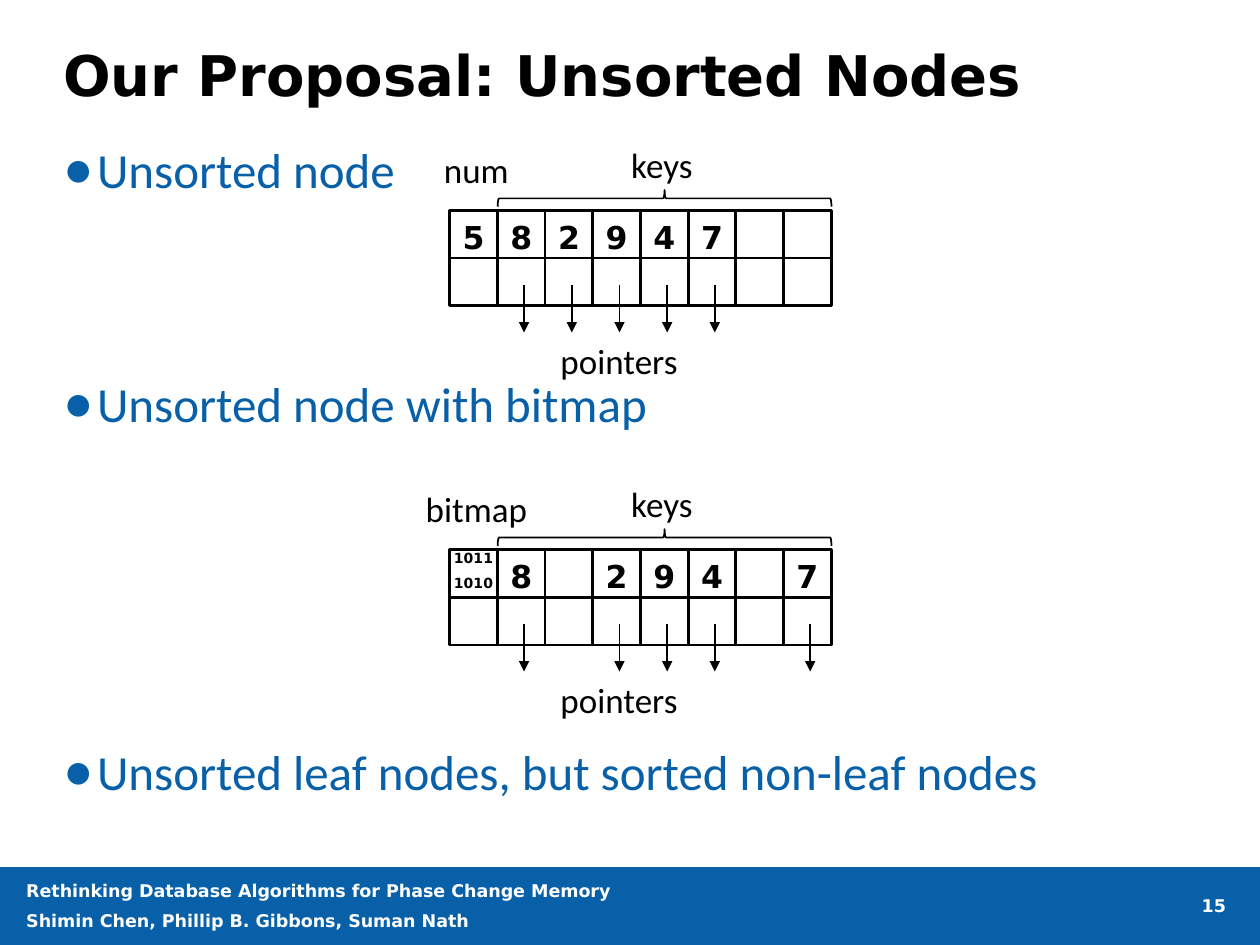
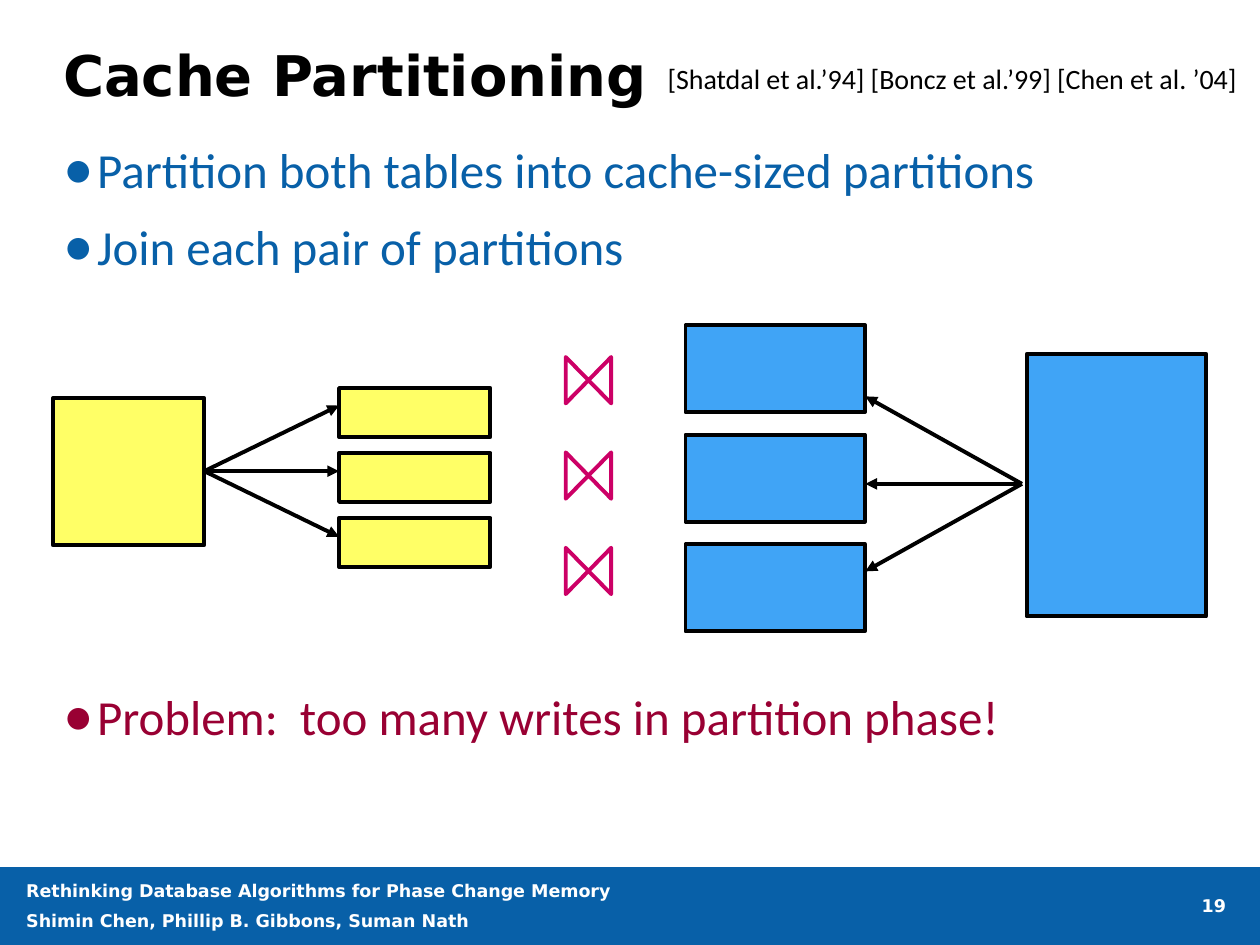
"""Build two slides on unsorted tree nodes and cache partitioning."""
import pptx
import pptx.dml.color
import pptx.enum.shapes
import pptx.enum.text
import pptx.oxml.ns
import pptx.util
from lxml import etree

Pt = pptx.util.Pt
RGBColor = pptx.dml.color.RGBColor
SHAPE = pptx.enum.shapes.MSO_SHAPE
ALIGN = pptx.enum.text.PP_ALIGN
ANCHOR = pptx.enum.text.MSO_ANCHOR

BLUE = RGBColor(0x08, 0x60, 0xA8)
SKY = RGBColor(0x40, 0xA4, 0xF6)
YELLOW = RGBColor(0xFF, 0xFF, 0x66)
PINK = RGBColor(0xCC, 0x00, 0x66)
RED = RGBColor(0x99, 0x00, 0x33)
BLACK = RGBColor(0, 0, 0)
WHITE = RGBColor(0xFF, 0xFF, 0xFF)

HEAD = "DejaVu Sans"
BODY = "Calibri"
CELL = 27.25
NODE_X = 257
THICK = 2.25


def add_xml(parent, tag, **attrs):
    """Append a DrawingML child element."""
    return etree.SubElement(parent, pptx.oxml.ns.qn(tag), attrs)


def add_run(para, text, size, color=BLACK, font=BODY, bold=False):
    """Add one styled run to a paragraph."""
    run = para.add_run()
    run.text = text
    run.font.size = Pt(size)
    run.font.name = font
    run.font.bold = bold
    run.font.color.rgb = color


def add_lines(frame, lines, gap=0, align=ALIGN.LEFT, **style):
    """Write each line as a paragraph, with a gap between them."""
    for i, text in enumerate(lines):
        para = frame.add_paragraph() if i else frame.paragraphs[0]
        para.alignment = align
        para.space_before = Pt(gap if i else 0)
        add_run(para, text, **style)


def set_pad(frame, top=0, bottom=0):
    """Set the insets of a frame, with none at the sides."""
    frame.margin_left = frame.margin_right = 0
    frame.margin_top, frame.margin_bottom = Pt(top), Pt(bottom)


def set_box(shape, *box):
    """Move and size a shape in points."""
    shape.left, shape.top, shape.width, shape.height = map(Pt, box)


def add_text(shapes, box, lines, plain=False, **style):
    """Add a wrapped text box."""
    frame = shapes.add_textbox(*map(Pt, box)).text_frame
    frame.word_wrap = True
    if plain:
        set_pad(frame)
    add_lines(frame, lines, **style)


def style_shape(shape, fill, color, width):
    """Give a shape its fill and line and no shadow."""
    shape.shadow.inherit = False
    if fill is None:
        shape.fill.background()
    else:
        shape.fill.solid()
        shape.fill.fore_color.rgb = fill
    if color is None:
        shape.line.fill.background()
    else:
        shape.line.color.rgb = color
        shape.line.width = Pt(width)


def add_shape(shapes, box, fill=None, color=BLACK, width=1.5,
              kind=SHAPE.RECTANGLE):
    """Add a preset shape."""
    shape = shapes.add_shape(kind, *map(Pt, box))
    style_shape(shape, fill, color, width)
    return shape


def add_arrow(shapes, start, end, width):
    """Add a black line with a triangle at its end."""
    line = shapes.add_connector(pptx.enum.shapes.MSO_CONNECTOR.STRAIGHT,
                                *map(Pt, (*start, *end)))
    line.line.color.rgb = BLACK
    line.line.width = Pt(width)
    add_xml(line.line._get_or_add_ln(), "a:tailEnd", type="triangle")
    add_xml(line.element.spPr, "a:effectLst")


def add_band(deck, slide):
    """Draw the footer band and move it to the slide master."""
    band = add_shape(slide.shapes, (0, 495.5, 720, 44.5), BLUE, None)
    band.element.nvSpPr.cNvPr.id = 99
    deck.slide_master.shapes.element.insert(2, band.element)


def add_list(body, items):
    """Fill the body with bullets, each given as gap, text and colour."""
    set_box(body, 36, 79.5, 648.5, 405)
    frame = body.text_frame
    frame.auto_size = pptx.enum.text.MSO_AUTO_SIZE.NONE
    frame.vertical_anchor = ANCHOR.TOP
    set_pad(frame)
    for i, (gap, text, color) in enumerate(items):
        para = frame.add_paragraph() if i else frame.paragraphs[0]
        para.space_before = Pt(gap)
        add_run(para, text, 28, color)
        props = para._p.get_or_add_pPr()
        props.set("marL", str(Pt(19.5)))
        props.set("indent", str(Pt(-19.5)))
        add_xml(props, "a:buSzPct", val="125000")
        add_xml(props, "a:buFont", typeface=BODY)
        add_xml(props, "a:buChar", char="•")


def add_slide(deck, title, number, items):
    """Add a slide with its title, bullets and footer."""
    slide = deck.slides.add_slide(deck.slide_layouts[1])
    head = slide.shapes.title
    set_box(head, 36, 21.6, 648.5, 46.8)
    frame = head.text_frame
    frame.auto_size = pptx.enum.text.MSO_AUTO_SIZE.NONE
    frame.vertical_anchor = ANCHOR.MIDDLE
    set_pad(frame)
    add_lines(frame, [title], size=32, font=HEAD, bold=True)
    frame.paragraphs[0].line_spacing = 0.9
    add_list(slide.placeholders[1], items)
    style = dict(plain=True, size=10, color=WHITE, font=HEAD, bold=True)
    add_text(slide.shapes, (15, 502.75, 469.5, 30),
             ["Rethinking Database Algorithms for Phase Change Memory",
              "Shimin Chen, Phillip B. Gibbons, Suman Nath"],
             gap=5.5, **style)
    add_text(slide.shapes, (668, 511.5, 32.5, 17), [number],
             align=ALIGN.RIGHT, **style)
    return slide


def add_label(shapes, left, top, text):
    """Add a centred label to a node."""
    add_text(shapes, (left, top, 96.5, 31.5), [text],
             align=ALIGN.CENTER, size=20)


def add_node(slide, top, name, info, keys, size, pad):
    """Draw a node: an info cell, seven keys and their pointers."""
    shapes = slide.shapes.add_group_shape().shapes
    for row, texts in enumerate([[info, *keys], [""] * 8]):
        for col, text in enumerate(texts):
            cell = add_shape(shapes, (NODE_X + col * CELL, top + row * CELL,
                                      CELL, CELL))
            if text:
                frame = cell.text_frame
                frame.vertical_anchor = ANCHOR.MIDDLE
                set_pad(frame, *((3.5, 0) if col else pad))
                add_lines(frame, text.split(), gap=4.5, align=ALIGN.CENTER,
                          size=18 if col else size, font=HEAD, bold=True)
    brace = add_shape(shapes, (375, top - 102.25, 9.5, 190.75), width=1,
                      kind=SHAPE.LEFT_BRACE)
    brace.rotation = 90
    add_label(shapes, 330, top - 41.75, "keys")
    add_label(shapes, 224, top - 39, name)
    add_label(shapes, 305.5, top + 70, "pointers")
    for col, key in enumerate(keys, 1):
        if key:
            x = NODE_X + col * CELL + 15.25
            add_arrow(shapes, (x, top + 42.5), (x, top + 69.75), 1)


def add_split(slide, fill, whole, part, step, start, tip, rise):
    """Draw a table with arrows to its three partitions."""
    shapes = slide.shapes.add_group_shape().shapes
    add_shape(shapes, whole, fill, width=THICK)
    left, top, width, height = part
    for i in range(3):
        add_shape(shapes, (left, top + i * step, width, height), fill,
                  width=THICK)
    for i in (-1, 0, 1):
        add_arrow(shapes, start, (tip, start[1] + i * rise), THICK)


def add_join(slide, left, top, width=26, height=26.5):
    """Draw a bow tie join sign."""
    right, low = left + width, top + height
    pen = slide.shapes.build_freeform(Pt(left), Pt(top))
    points = [(right, low), (right, top), (left, low)]
    pen.add_line_segments([(Pt(x), Pt(y)) for x, y in points], close=True)
    style_shape(pen.convert_to_shape(), None, PINK, THICK)


def main():
    """Build and save the deck."""
    deck = pptx.Presentation()
    deck.slide_width, deck.slide_height = Pt(720), Pt(540)

    nodes = add_slide(deck, "Our Proposal: Unsorted Nodes", "15", [
        (0, "Unsorted node", BLUE),
        (100, "Unsorted node with bitmap", BLUE),
        (177, "Unsorted leaf nodes, but sorted non-leaf nodes", BLUE)])
    add_band(deck, nodes)
    add_node(nodes, 120.25, "num", "5",
             ["8", "2", "9", "4", "7", "", ""], 18, (3.5, 0))
    add_node(nodes, 314, "bitmap", "1011 1010",
             ["8", "", "2", "9", "4", "", "7"], 8, (0, 3.5))

    cache = add_slide(deck, "Cache Partitioning", "19", [
        (0, "Partition both tables into cache-sized partitions", BLUE),
        (10.5, "Join each pair of partitions", BLUE),
        (235, "Problem:  too many writes in partition phase!", RED)])
    add_text(cache.shapes, (360, 31.75, 354, 26.5),
             ["[Shatdal et al.’94] [Boncz et al.’99] [Chen et al. ’04]"],
             align=ALIGN.RIGHT, size=16)
    add_split(cache, YELLOW, (30.25, 227.5, 86.5, 84),
              (193.75, 221.75, 86.5, 28), 37.1, (116.75, 269.25), 193.75, 37.5)
    add_split(cache, SKY, (586.75, 202.25, 102.5, 150),
              (391.75, 185.75, 102.5, 49.75), 62.6, (584, 276.5), 494.5, 50)
    for i in range(3):
        add_join(cache, 323.25, 204 + i * 54.5)

    deck.save("out.pptx")


if __name__ == "__main__":
    main()
